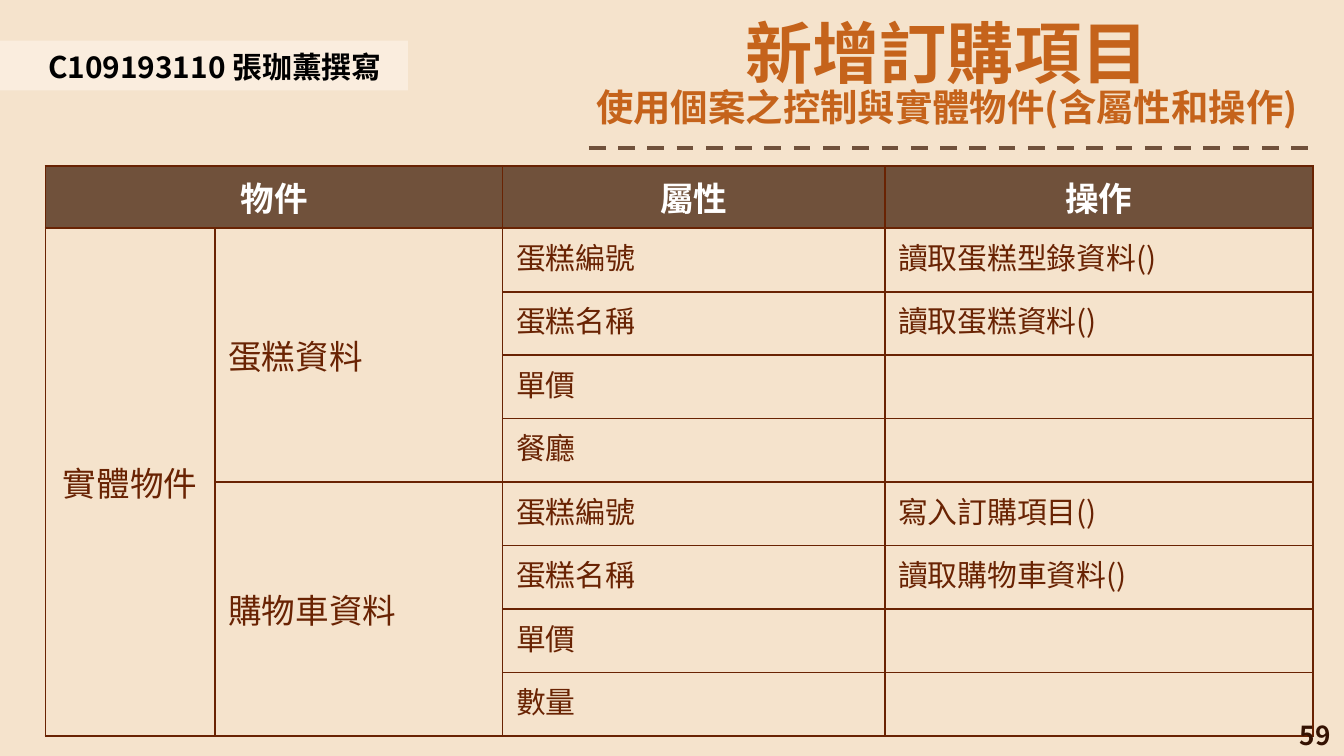
from dataclasses import dataclass

from lxml import etree
from pptx import Presentation
from pptx import util as u
from pptx.dml import color
from pptx.enum import dml, shapes, text
from pptx.oxml import ns

HUES = {
    "back": "F5E3CC", "band": "FAEDDE", "head": "70513B", "grid": "692303",
    "title": "C5631B", "page": "341202", "black": "000000", "white": "FFFFFF",
}
FACE = "Noto Sans CJK SC"
LEFT, MID, RIGHT = text.PP_ALIGN.LEFT, text.PP_ALIGN.CENTER, text.PP_ALIGN.RIGHT
CENTER = text.MSO_ANCHOR.MIDDLE


@dataclass
class Style:
    size: float
    hue: str
    bold: bool = False
    align: text.PP_ALIGN = LEFT


@dataclass
class Group:
    name: str
    fields: list[str]
    calls: list[str]


GROUPS = [
    Group("蛋糕資料", ["蛋糕編號", "蛋糕名稱", "單價", "餐廳"],
          ["讀取蛋糕型錄資料()", "讀取蛋糕資料()"]),
    Group("購物車資料", ["蛋糕編號", "蛋糕名稱", "單價", "數量"],
          ["寫入訂購項目()", "讀取購物車資料()"]),
]


def rgb(hue: str) -> color.RGBColor:
    return color.RGBColor.from_string(HUES[hue])


def write(par, words: str, style: Style) -> None:
    par.alignment = style.align
    run = par.add_run()
    run.text = words
    form = {"size": u.Pt(style.size), "bold": style.bold, "name": FACE}
    for key, value in form.items():
        setattr(run.font, key, value)
    run.font.color.rgb = rgb(style.hue)
    etree.SubElement(run.font._element, ns.qn("a:ea"), typeface=FACE)


def label(slide, area: tuple, words: str, style: Style, anchor) -> None:
    frame = slide.shapes.add_textbox(*map(u.Cm, area)).text_frame
    frame.word_wrap = True
    frame.vertical_anchor = anchor
    write(frame.paragraphs[0], words, style)


def edge(cell) -> None:
    props = cell._tc.get_or_add_tcPr()
    for spot, side in enumerate(("lnL", "lnR", "lnT", "lnB")):
        line = etree.Element(ns.qn(f"a:{side}"), w=str(u.Pt(1)))
        fill = etree.SubElement(line, ns.qn("a:solidFill"))
        etree.SubElement(fill, ns.qn("a:srgbClr"), val=HUES["grid"])
        props.insert(spot, line)


def fill_cell(cell, words: str, style: Style, anchor=None) -> None:
    write(cell.text_frame.paragraphs[0], words, style)
    if anchor is not None:
        cell.vertical_anchor = anchor


def add_title(slide) -> None:
    box = slide.shapes.title
    place = {"left": 10.39, "top": 0.13, "width": 15.01, "height": 2.77}
    for key, value in place.items():
        setattr(box, key, u.Cm(value))
    frame = box.text_frame
    form = {"word_wrap": True, "auto_size": text.MSO_AUTO_SIZE.NONE,
            "vertical_anchor": text.MSO_ANCHOR.TOP}
    form |= {f"margin_{side}": u.Cm(0.25)
             for side in ("left", "right", "top", "bottom")}
    for key, value in form.items():
        setattr(frame, key, value)
    lines = [("新增訂購項目", 36, 0.9),
             ("使用個案之控制與實體物件(含屬性和操作)", 20, 0.8)]
    for spot, (words, size, gap) in enumerate(lines):
        par = frame.add_paragraph() if spot else frame.paragraphs[0]
        par.line_spacing = gap
        par.space_before = u.Pt(0)
        write(par, words, Style(size, "title", True, MID))

    # Dashed rule below the title
    rule = slide.shapes.add_connector(
        shapes.MSO_CONNECTOR.STRAIGHT, *map(u.Cm, (11.13, 2.79, 24.82, 2.79)))
    rule.line.color.rgb = rgb("head")
    rule.line.width = u.Pt(2.25)
    rule.line.dash_style = dml.MSO_LINE.DASH
    etree.SubElement(rule._element.spPr, ns.qn("a:effectLst"))


def add_author(slide) -> None:
    band = slide.shapes.add_shape(
        shapes.MSO_SHAPE.RECTANGLE, *map(u.Cm, (0, 0.77, 7.71, 0.94)))
    band.shadow.inherit = False
    band.fill.solid()
    band.fill.fore_color.rgb = rgb("band")
    band.line.fill.background()
    label(slide, (0.66, 0.79, 7.04, 0.94), "C109193110 張珈薰撰寫",
          Style(16, "black", True), text.MSO_ANCHOR.TOP)


def add_grid(slide) -> None:
    count = 1 + sum(len(group.fields) for group in GROUPS)
    grid = slide.shapes.add_table(
        count, 4, *map(u.Cm, (0.86, 3.14, 23.95, 10.72))).table
    for col, width in zip(grid.columns, (3.2, 5.44, 7.22, 8.09)):
        col.width = u.Cm(width)
    for spot, row in enumerate(grid.rows):
        row.height = u.Cm(1.2 if spot else 1.16)
        for cell in row.cells:
            cell.fill.solid()
            cell.fill.fore_color.rgb = rgb("back" if spot else "head")
            edge(cell)

    # Header row
    grid.cell(0, 0).merge(grid.cell(0, 1))
    for col, words in ((0, "物件"), (2, "屬性"), (3, "操作")):
        fill_cell(grid.cell(0, col), words, Style(18, "white", True, MID))

    # Upright label over all groups
    side = grid.cell(1, 0)
    side.merge(grid.cell(count - 1, 0))
    fill_cell(side, "實體物件", Style(18, "grid", align=MID), CENTER)
    side._tc.get_or_add_tcPr().set("vert", "eaVert")

    # Objects with their fields and calls
    top = 1
    for group in GROUPS:
        name = grid.cell(top, 1)
        name.merge(grid.cell(top + len(group.fields) - 1, 1))
        fill_cell(name, group.name, Style(18, "grid"), CENTER)
        for col, items in ((2, group.fields), (3, group.calls)):
            for step, words in enumerate(items):
                fill_cell(grid.cell(top + step, col), words, Style(16, "grid"))
        top += len(group.fields)


def main() -> None:
    deck = Presentation()
    deck.slide_width, deck.slide_height = u.Cm(25.4), u.Cm(14.29)
    slide = deck.slides.add_slide(deck.slide_layouts[5])
    slide.background.fill.solid()
    slide.background.fill.fore_color.rgb = rgb("back")
    add_grid(slide)
    add_title(slide)
    add_author(slide)
    # Page number
    label(slide, (19.69, 13.51, 5.71, 0.76), "59",
          Style(14, "page", True, RIGHT), CENTER)
    deck.save("out.pptx")


if __name__ == "__main__":
    main()
